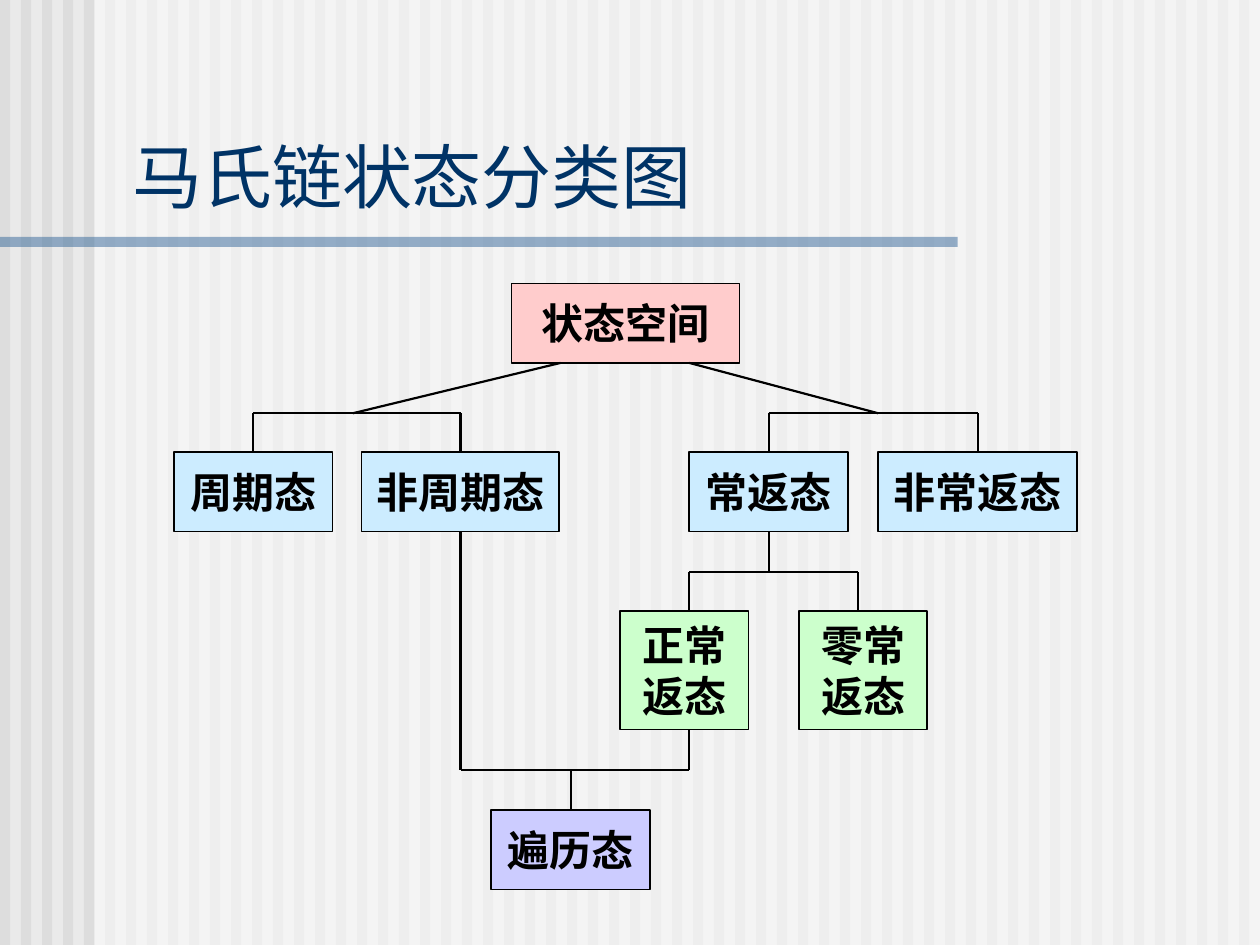
import pptx
import pptx.util
from pptx.dml.color import RGBColor
from pptx.enum.shapes import MSO_CONNECTOR, MSO_SHAPE
from pptx.enum.text import MSO_ANCHOR, MSO_AUTO_SIZE, PP_ALIGN
from pptx.oxml.ns import qn
from pptx.util import Inches, Pt
from lxml import etree

BACKGROUND = RGBColor(0xEA, 0xEA, 0xEA)
STRIPE = RGBColor(0xDD, 0xDD, 0xDD)
WHITE = RGBColor(0xFF, 0xFF, 0xFF)
BLACK = RGBColor(0, 0, 0)
NAVY = RGBColor(0x00, 0x33, 0x66)
STEEL = RGBColor(0x33, 0x66, 0x99)
PINK = RGBColor(0xFF, 0xCC, 0xCC)
SKY = RGBColor(0xCC, 0xEC, 0xFF)
MINT = RGBColor(0xCC, 0xFF, 0xCC)
LILAC = RGBColor(0xCC, 0xCC, 0xFF)

TITLE = "马氏链状态分类图"
TITLE_FONT = "Noto Sans CJK SC"
BOX_FONT = "DejaVu Sans"

# Boxes: text, left, top, width, height, fill
BOXES = [
    ("状态空间", 4.06, 2.25, 1.81, 0.63, PINK),
    ("周期态", 1.38, 3.59, 1.26, 0.63, SKY),
    ("非周期态", 2.87, 3.59, 1.57, 0.63, SKY),
    ("常返态", 5.47, 3.59, 1.26, 0.63, SKY),
    ("非常返态", 6.97, 3.59, 1.58, 0.63, SKY),
    ("正常返态", 4.92, 4.85, 1.02, 0.94, MINT),
    ("零常返态", 6.34, 4.85, 1.02, 0.94, MINT),
    ("遍历态", 3.9, 6.43, 1.26, 0.63, LILAC),
]

# Heights of the three horizontal bars
UPPER_BAR, MIDDLE_BAR, LOWER_BAR = 3.28, 4.54, 6.11

# Stubs joined to the middle of a box side: box, side, bar height
TOP, BOTTOM = 0, 2
STUBS = [
    ("周期态", TOP, UPPER_BAR),
    ("非周期态", TOP, UPPER_BAR),
    ("常返态", TOP, UPPER_BAR),
    ("非常返态", TOP, UPPER_BAR),
    ("常返态", BOTTOM, MIDDLE_BAR),
    ("非周期态", BOTTOM, LOWER_BAR),
    ("遍历态", TOP, LOWER_BAR),
]

# Free lines: start x, start y, end x, end y
LINES = [
    (4.45, 2.88, 2.8, UPPER_BAR),
    (5.47, 2.88, 6.97, UPPER_BAR),
    (2.01, UPPER_BAR, 3.66, UPPER_BAR),
    (6.1, UPPER_BAR, 7.76, UPPER_BAR),
    (5.47, MIDDLE_BAR, 6.81, MIDDLE_BAR),
    (5.47, MIDDLE_BAR, 5.47, 4.85),
    (6.81, MIDDLE_BAR, 6.81, 4.85),
    (5.47, 5.79, 5.47, LOWER_BAR),
    (3.66, LOWER_BAR, 5.47, LOWER_BAR),
]


def add_rectangle(slide, left, top, width, height, fill, alpha=None):
    shape = slide.shapes.add_shape(
        MSO_SHAPE.RECTANGLE, Inches(left), Inches(top), Inches(width), Inches(height))
    shape.shadow.inherit = False
    shape.fill.solid()
    shape.fill.fore_color.rgb = fill
    shape.line.fill.background()
    if alpha is not None:
        color = shape._element.spPr.find(qn("a:solidFill"))[0]
        etree.SubElement(color, qn("a:alpha")).set("val", str(alpha * 1000))
    return shape


def format_run(run, font_name, size, color, bold):
    run.font.name = font_name
    run.font.size = Pt(size)
    run.font.color.rgb = color
    run.font.bold = bold
    etree.SubElement(run.font._element, qn("a:ea")).set("typeface", font_name)


def add_box(slide, text, left, top, width, height, fill):
    box = add_rectangle(slide, left, top, width, height, fill)
    box.line.color.rgb = BLACK
    box.line.width = Pt(1)
    frame = box.text_frame
    frame.word_wrap = True
    frame.vertical_anchor = MSO_ANCHOR.MIDDLE
    frame.margin_left = frame.margin_right = Inches(0.02)
    frame.margin_top = frame.margin_bottom = Inches(0.01)
    frame.text = text
    paragraph = frame.paragraphs[0]
    paragraph.alignment = PP_ALIGN.CENTER
    format_run(paragraph.runs[0], BOX_FONT, 24, BLACK, True)
    return box


def add_line(slide, *ends):
    line = slide.shapes.add_connector(
        MSO_CONNECTOR.STRAIGHT, *(Inches(value) for value in ends))
    line.line.color.rgb = BLACK
    line.line.width = Pt(1.25)
    etree.SubElement(line._element.spPr, qn("a:effectLst"))
    return line


def add_stub(slide, box, side, bar):
    center = (box.left + box.width / 2) / Inches(1)
    edge = (box.top + (box.height if side == BOTTOM else 0)) / Inches(1)
    add_line(slide, center, bar, center, edge).end_connect(box, side)


def add_backdrop(slide):
    slide.background.fill.solid()
    slide.background.fill.fore_color.rgb = BACKGROUND
    for index in range(60):
        add_rectangle(slide, index / 6, 0, 0.08, 7.5, STRIPE)
    add_rectangle(slide, 0.75, 0, 9.25, 7.5, WHITE, alpha=50)
    add_rectangle(slide, 0, 1.88, 7.6, 0.08, STEEL, alpha=50)


def set_title(slide):
    title = slide.shapes.title
    slide.shapes._spTree.append(title._element)  # bring in front of the backdrop
    title.left, title.top = Inches(0.95), Inches(1.01)
    title.width, title.height = Inches(8.93), Inches(0.77)
    frame = title.text_frame
    frame.text = TITLE
    frame.word_wrap = True
    frame.auto_size = MSO_AUTO_SIZE.NONE
    frame.vertical_anchor = MSO_ANCHOR.BOTTOM
    paragraph = frame.paragraphs[0]
    paragraph.alignment = PP_ALIGN.LEFT
    format_run(paragraph.runs[0], TITLE_FONT, 40, NAVY, False)


def main():
    presentation = pptx.Presentation()
    presentation.slide_width, presentation.slide_height = Inches(10), Inches(7.5)
    slide = presentation.slides.add_slide(presentation.slide_layouts[5])

    add_backdrop(slide)
    set_title(slide)

    # Classification tree
    boxes = {box[0]: add_box(slide, *box) for box in BOXES}
    for name, side, bar in STUBS:
        add_stub(slide, boxes[name], side, bar)
    for ends in LINES:
        add_line(slide, *ends)

    presentation.save("out.pptx")


if __name__ == "__main__":
    main()
